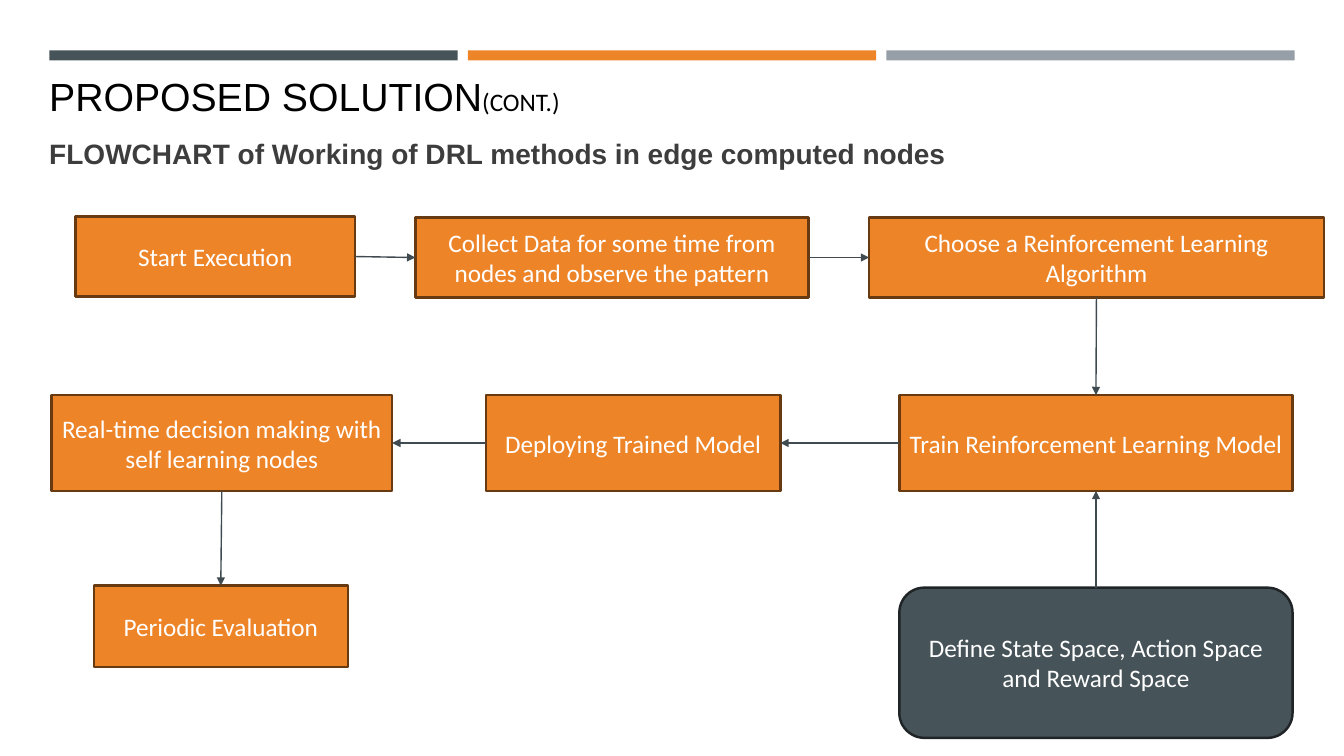
"""Build a slide with the flowchart of DRL methods in edge computed nodes."""
from lxml import etree
from pptx import Presentation
from pptx.dml.color import RGBColor
from pptx.enum.shapes import MSO_CONNECTOR, MSO_SHAPE
from pptx.enum.text import MSO_ANCHOR, PP_ALIGN
from pptx.oxml.ns import qn
from pptx.util import Pt

PX = 9144
SLIDE_W, SLIDE_H = 1333, 750
ORANGE = RGBColor(0xED, 0x84, 0x28)
BROWN = RGBColor(0x68, 0x3A, 0x12)
SLATE = RGBColor(0x46, 0x53, 0x59)
DARK = RGBColor(0x1F, 0x24, 0x27)
GREY = RGBColor(0x96, 0x9F, 0xA7)
ARROW = RGBColor(0x3F, 0x4B, 0x50)
BLACK = RGBColor(0, 0, 0)
TEXT = RGBColor(0x3D, 0x3D, 0x3D)
WHITE = RGBColor(0xFF, 0xFF, 0xFF)

RECT, ROUND = MSO_SHAPE.RECTANGLE, MSO_SHAPE.ROUNDED_RECTANGLE
TOP, LEFT, BOTTOM, RIGHT = range(4)

BARS = [SLATE, ORANGE, GREY]
BAR_LEFT, BAR_TOP, BAR_W, BAR_H, BAR_STEP = 49, 50, 405, 10, 415

HEADINGS = [
    ((39, 67, 1206, 111), [
        ("PROPOSED SOLUTION", dict(name="Arial", size=Pt(28)), BLACK),
        ("(CONT.)", dict(name="Calibri", size=Pt(18)), BLACK)]),
    ((39, 131, 1206, 63), [
        ("FLOWCHART of Working of DRL methods in edge computed nodes",
         dict(name="Arial", size=Pt(20), bold=True), TEXT)]),
]

STEP_FONT = dict(name="Calibri", size=Pt(18))
STEPS = {
    "start": ("Start Execution", (75, 215, 277, 79)),
    "collect": ("Collect Data for some time from nodes and observe the pattern",
                (412, 216, 390, 79)),
    "choose": ("Choose a Reinforcement Learning Algorithm", (862, 216, 451, 79)),
    "train": ("Train Reinforcement Learning Model", (892, 392, 390, 95)),
    "deploy": ("Deploying Trained Model", (482, 392, 292, 95)),
    "decide": ("Real-time decision making with self learning nodes",
               (51, 392, 338, 95)),
    "define": ("Define State Space, Action Space and Reward Space",
               (892, 583, 390, 149)),
    "evaluate": ("Periodic Evaluation", (93, 581, 252, 81)),
}
STYLES = {"define": (ROUND, SLATE, DARK)}
DEFAULT_STYLE = (RECT, ORANGE, BROWN)

ARROWS = [
    ("start", RIGHT, "collect", LEFT),
    ("collect", RIGHT, "choose", LEFT),
    ("choose", BOTTOM, "train", TOP),
    ("train", LEFT, "deploy", RIGHT),
    ("deploy", LEFT, "decide", RIGHT),
    ("define", TOP, "train", BOTTOM),
    ("decide", BOTTOM, "evaluate", TOP),
]


def emu(box):
    return [v * PX for v in box]


def add_run(p, text, font, color):
    r = p.add_run()
    r.text = text
    for key, value in font.items():
        setattr(r.font, key, value)
    r.font.color.rgb = color


def add_block(slide, kind, box, fill, line=None):
    sp = slide.shapes.add_shape(kind, *emu(box))
    sp.shadow.inherit = False
    sp.fill.solid()
    sp.fill.fore_color.rgb = fill
    if line is None:
        sp.line.fill.background()
    else:
        sp.line.color.rgb = line
        sp.line.width = Pt(1.75)
    return sp


def add_heading(slide, box, runs):
    tf = slide.shapes.add_textbox(*emu(box)).text_frame
    tf.word_wrap = True
    for run in runs:
        add_run(tf.paragraphs[0], *run)


def add_step(slide, name, text, box):
    kind, fill, line = STYLES.get(name, DEFAULT_STYLE)
    sp = add_block(slide, kind, box, fill, line)
    tf = sp.text_frame
    tf.word_wrap = True
    tf.vertical_anchor = MSO_ANCHOR.MIDDLE
    p = tf.paragraphs[0]
    p.alignment = PP_ALIGN.CENTER
    add_run(p, text, STEP_FONT, WHITE)
    return sp


def add_arrow(slide, source, source_side, target, target_side):
    cx = slide.shapes.add_connector(MSO_CONNECTOR.STRAIGHT, 0, 0, 0, 0)
    cx.begin_connect(source, source_side)
    cx.end_connect(target, target_side)
    cx.line.color.rgb = ARROW
    cx.line.width = Pt(1)
    etree.SubElement(cx.line._get_or_add_ln(), qn("a:tailEnd"), type="triangle")
    etree.SubElement(cx._element.spPr, qn("a:effectLst"))


def main():
    prs = Presentation()
    prs.slide_width, prs.slide_height = emu((SLIDE_W, SLIDE_H))
    slide = prs.slides.add_slide(prs.slide_layouts[6])
    for i, color in enumerate(BARS):
        add_block(slide, RECT, (BAR_LEFT + i * BAR_STEP, BAR_TOP, BAR_W, BAR_H), color)
    for box, runs in HEADINGS:
        add_heading(slide, box, runs)
    blocks = {name: add_step(slide, name, *step) for name, step in STEPS.items()}
    for source, source_side, target, target_side in ARROWS:
        add_arrow(slide, blocks[source], source_side, blocks[target], target_side)
    prs.save("out.pptx")


if __name__ == "__main__":
    main()
